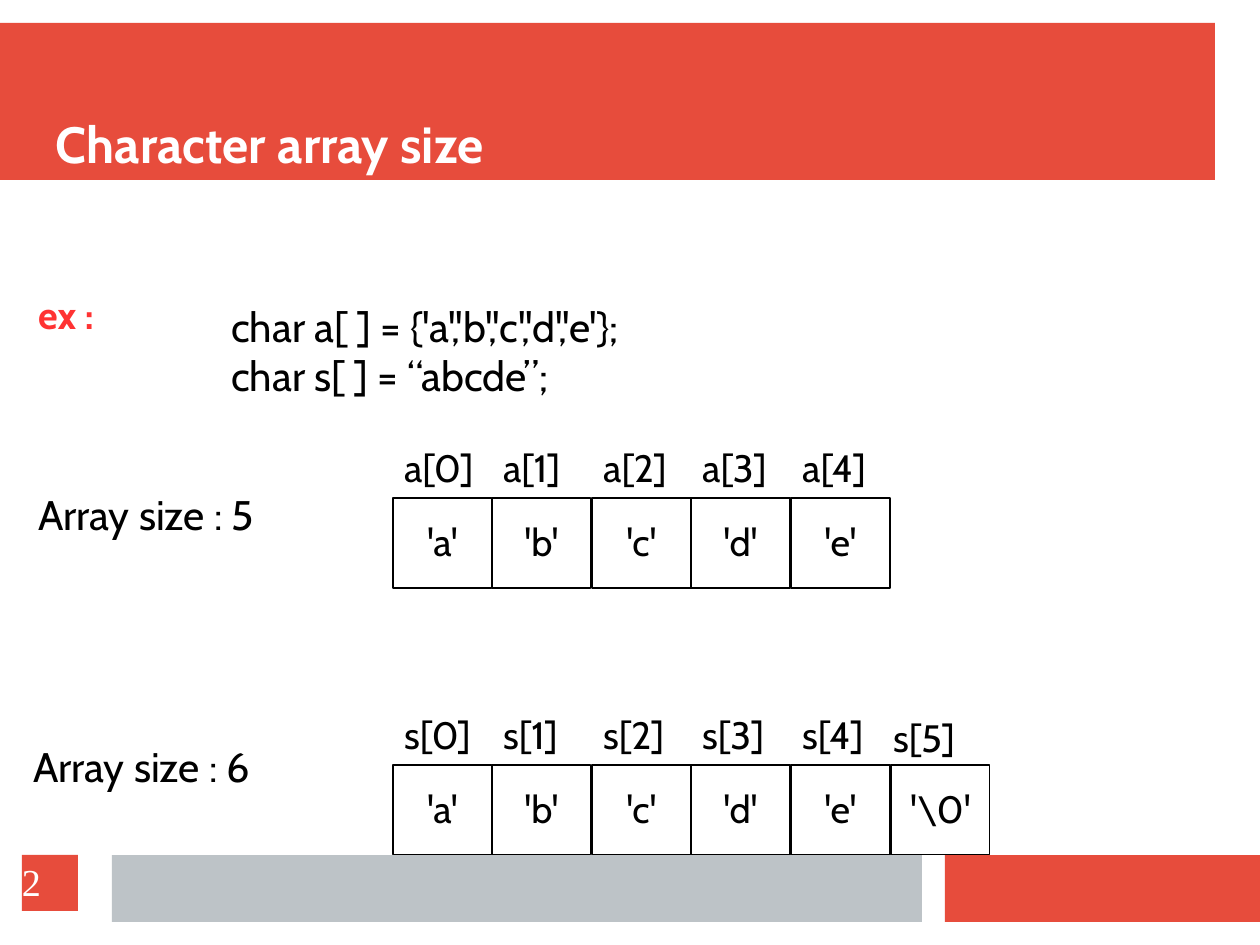
"""Build the slide that compares the sizes of two character arrays."""
from pptx import Presentation
from pptx.dml.color import RGBColor
from pptx.enum.shapes import MSO_SHAPE
from pptx.enum.text import MSO_ANCHOR, PP_ALIGN
from pptx.util import Pt

PX = 8000
COLORS = {"red": "E74C3C", "gray": "BDC3C7", "white": "FFFFFF", "black": "000000", "example": "FF3333"}


def add_box(left, top, width, height, fill, outlined=False):
    box = slide.shapes.add_shape(MSO_SHAPE.RECTANGLE, left * PX, top * PX, width * PX, height * PX)
    box.shadow.inherit = False
    box.fill.solid()
    box.fill.fore_color.rgb = RGBColor.from_string(COLORS[fill])
    if outlined:
        box.line.color.rgb = RGBColor.from_string(COLORS["black"])
        box.line.width = Pt(0.75)
    else:
        box.line.fill.background()
    return box


def write(box, text, size, color="black", bold=False, font="Cabin",
          align=PP_ALIGN.LEFT, anchor=MSO_ANCHOR.TOP, inset=True):
    frame = box.text_frame
    frame.text = text
    frame.word_wrap = True
    frame.vertical_anchor = anchor
    if not inset:
        frame.margin_left = frame.margin_right = frame.margin_top = frame.margin_bottom = 0
    for paragraph in frame.paragraphs:
        paragraph.alignment = align
        paragraph.line_spacing = 0.97
        for run in paragraph.runs:
            run.font.name = font
            run.font.size = Pt(size)
            run.font.bold = bold
            run.font.color.rgb = RGBColor.from_string(COLORS[color])


prs = Presentation()
prs.slide_width = 1260 * PX
prs.slide_height = 945 * PX
slide = prs.slides.add_slide(prs.slide_layouts[6])

add_box(0, 23, 1215, 157, "red")
add_box(945, 855, 315, 67, "red")
add_box(112, 855, 810, 67, "gray")

title = slide.shapes.add_textbox(56 * PX, 67 * PX, 1154 * PX, 108 * PX)
write(title, "Character array size", 32, "white", bold=True, anchor=MSO_ANCHOR.BOTTOM, inset=False)

example = slide.shapes.add_textbox(27 * PX, 288 * PX, 198 * PX, 57 * PX)
write(example, "ex :", 24, "example", bold=True)

declarations = slide.shapes.add_textbox(220 * PX, 299 * PX, 616 * PX, 109 * PX)
write(declarations, "char a[ ] = {'a','b','c','d','e'};\nchar s[ ] = “abcde”;", 26)

arrays = [
    ("a", ["a", "b", "c", "d", "e"], 498, 27, 486),
    ("s", ["a", "b", "c", "d", "e", r"\0"], 765, 22, 738),
]
for array, characters, cell_top, size_left, size_top in arrays:
    array_size = slide.shapes.add_textbox(size_left * PX, size_top * PX, 294 * PX, 61 * PX)
    write(array_size, f"Array size : {len(characters)}", 26)
    for position, character in enumerate(characters):
        cell_left = 393 + position * 498 // 5
        cell = add_box(cell_left, cell_top, 99, 90, "white", outlined=True)
        write(cell, f"'{character}'", 24, align=PP_ALIGN.CENTER, anchor=MSO_ANCHOR.MIDDLE)
        shift_x, shift_y = (-9, 3) if position == 5 else (0, 0)
        index = slide.shapes.add_textbox(
            (cell_left + shift_x) * PX, (cell_top - 57 + shift_y) * PX, 100 * PX, 57 * PX)
        write(index, f"{array}[{position}]", 24)

page_number = add_box(22, 855, 56, 56, "red")
write(page_number, "2", 24, "white", font="Times New Roman", anchor=MSO_ANCHOR.MIDDLE, inset=False)

prs.save("out.pptx")
